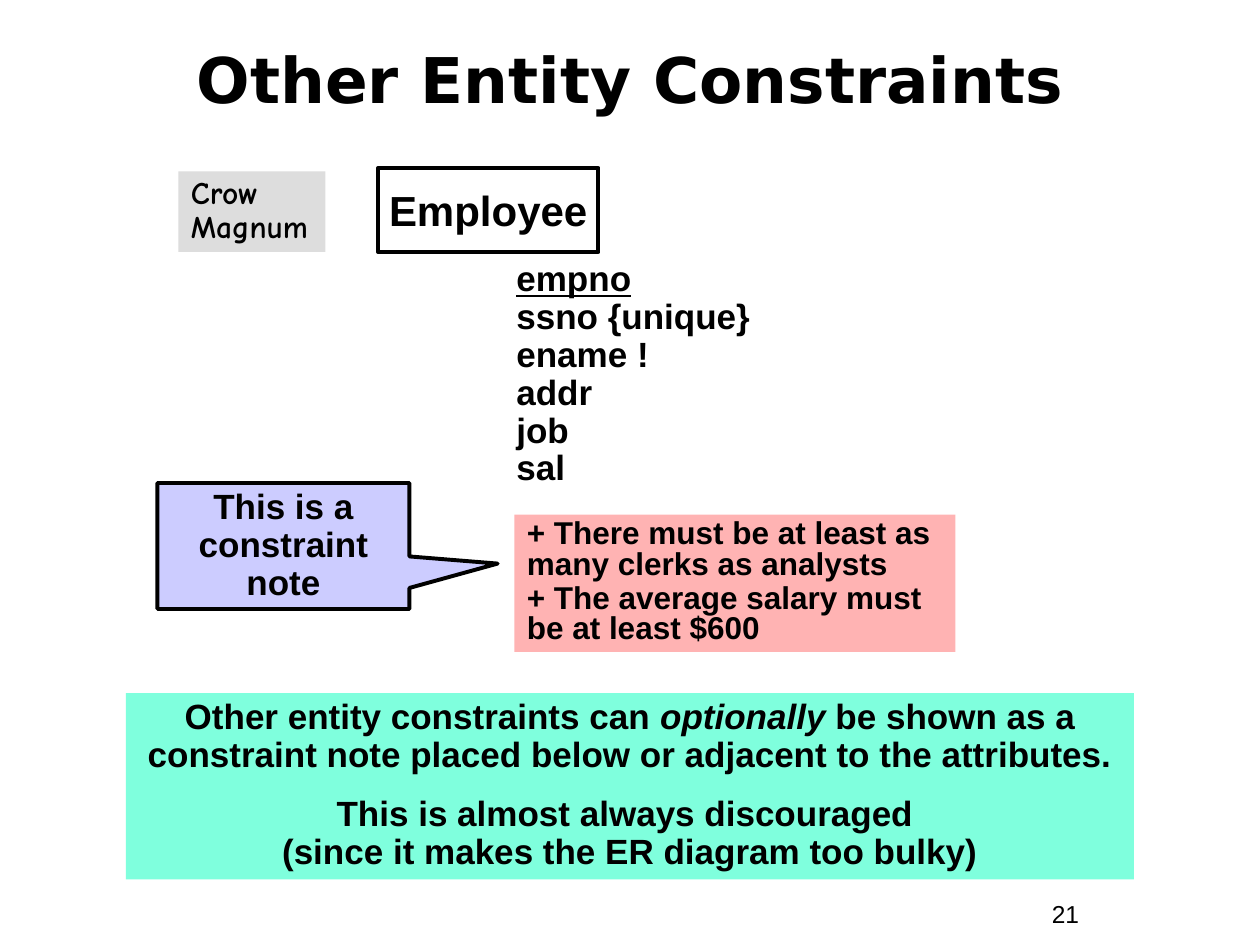
from pptx import Presentation
from pptx.dml.color import RGBColor
from pptx.enum.shapes import MSO_SHAPE
from pptx.enum.text import MSO_ANCHOR, PP_ALIGN
from pptx.util import Pt


def color(hex_value):
    """Turn a hex string into a colour."""
    return RGBColor.from_string(hex_value)


def write(frame, paragraphs, size, font="Arial", bold=True, align=PP_ALIGN.LEFT,
          spacing=1.0, gap=0, anchor=MSO_ANCHOR.TOP, wrap=True):
    """Fill a text frame; a paragraph is a string or a list of (text, italic) runs."""
    frame.word_wrap = wrap
    frame.vertical_anchor = anchor
    for index, content in enumerate(paragraphs):
        paragraph = frame.paragraphs[0] if index == 0 else frame.add_paragraph()
        if isinstance(content, str):
            paragraph.text = content
        else:
            for text, italic in content:
                run = paragraph.add_run()
                run.text = text
                if italic:
                    run.font.italic = True
        paragraph.alignment = align
        paragraph.line_spacing = spacing
        paragraph.space_before = Pt(gap if index else 0)
        paragraph.font.size = Pt(size)
        paragraph.font.name = font
        paragraph.font.bold = bold
        paragraph.font.color.rgb = color("000000")


def add_title(slide, text):
    """Place and format the slide title."""
    title = slide.shapes.title
    title.left, title.top, title.width, title.height = Pt(24), Pt(12), Pt(672), Pt(66)
    write(title.text_frame, [text], 36, "DejaVu Sans",
          align=PP_ALIGN.CENTER, anchor=MSO_ANCHOR.MIDDLE)


def add_text(slide, box, paragraphs, size, **style):
    """Add a plain text box."""
    frame = slide.shapes.add_textbox(*map(Pt, box)).text_frame
    write(frame, paragraphs, size, **style)
    return frame


def add_box(slide, box, paragraphs, size, fill=None, outlined=False,
            preset=MSO_SHAPE.RECTANGLE, **style):
    """Add a filled or outlined shape holding text."""
    shape = slide.shapes.add_shape(preset, *map(Pt, box))
    shape.shadow.inherit = False
    if fill:
        shape.fill.solid()
        shape.fill.fore_color.rgb = color(fill)
    else:
        shape.fill.background()
    if outlined:
        shape.line.color.rgb = color("000000")
        shape.line.width = Pt(2.25)
    else:
        shape.line.fill.background()
    write(shape.text_frame, paragraphs, size, **style)
    return shape


def main():
    """Build the entity constraints slide."""
    presentation = Presentation()
    presentation.slide_width, presentation.slide_height = Pt(720), Pt(540)
    slide = presentation.slides.add_slide(presentation.slide_layouts[5])

    add_title(slide, "Other Entity Constraints")
    add_box(slide, (216, 96, 126, 48), ["Employee"], 24, outlined=True,
            align=PP_ALIGN.CENTER, anchor=MSO_ANCHOR.MIDDLE, wrap=False)
    attributes = add_text(slide, (288, 146, 174, 137),
                          ["empno", "ssno {unique}", "ename !", "addr", "job", "sal"],
                          20, spacing=0.9)
    attributes.paragraphs[0].font.underline = True
    add_box(slide, (102, 98, 84, 46), ["Crow\nMagnum"], 18, "DDDDDD",
            font="Comic Neue", spacing=0.9)
    add_box(slide, (72, 396, 576, 106.5), [
        [("Other entity constraints can ", False), ("optionally", True),
         (" be shown as a constraint note placed below or adjacent to the attributes.", False)],
        "This is almost always discouraged \n(since it makes the ER diagram too bulky)",
    ], 20, "7FFFDD", align=PP_ALIGN.CENTER, spacing=0.9, gap=12.5)
    add_box(slide, (294, 294, 252, 78.5), [
        "+ There must be at least as \nmany clerks as analysts",
        "+ The average salary must be at least $600",
    ], 18, "FFB3B3", spacing=0.8, gap=2.2, anchor=MSO_ANCHOR.MIDDLE)
    callout = add_box(slide, (90, 276, 144, 72), ["This is a constraint note"], 20,
                      "CCCCFF", outlined=True, preset=MSO_SHAPE.RECTANGULAR_CALLOUT,
                      align=PP_ALIGN.CENTER, spacing=0.9)
    callout.adjustments[0], callout.adjustments[1] = 0.85, 0.14
    add_text(slide, (594, 510, 66, 24.5), ["21"], 14, bold=False)

    presentation.save("out.pptx")


if __name__ == "__main__":
    main()
